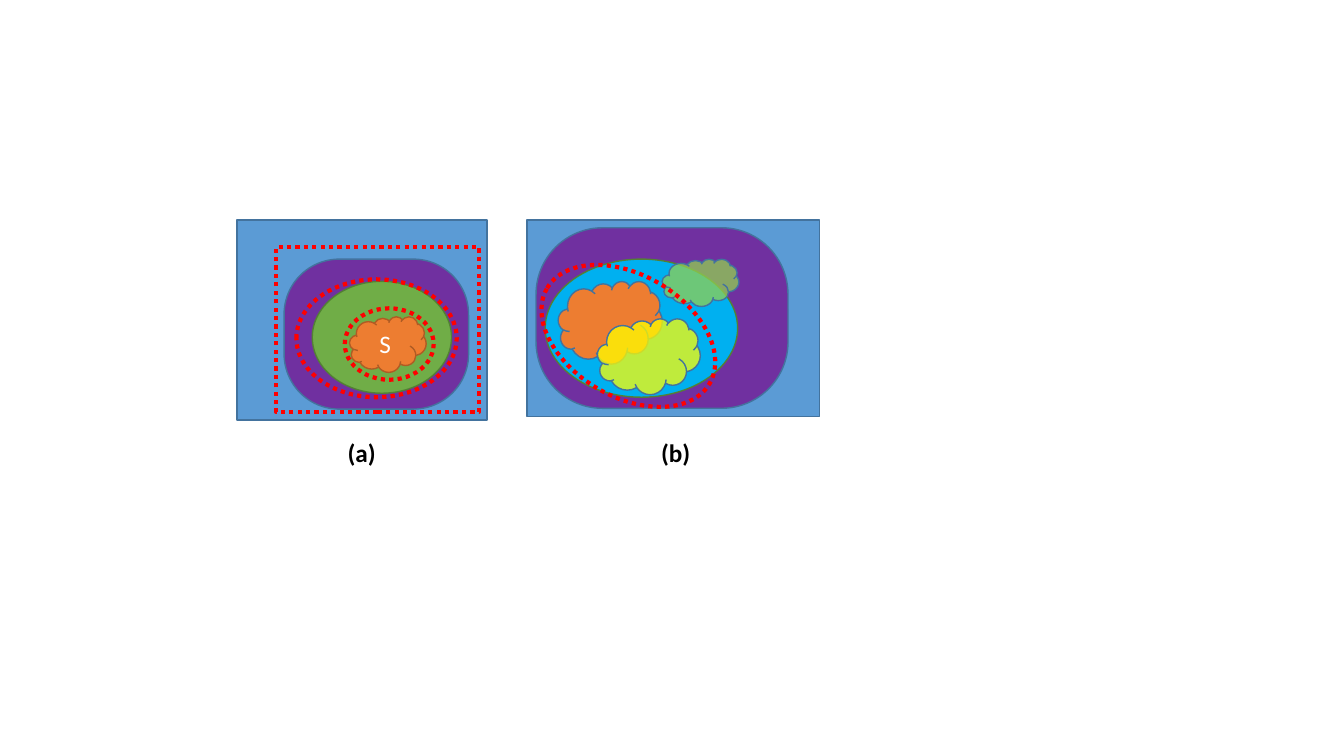
from lxml import etree
from pptx import Presentation
from pptx.dml.color import RGBColor
from pptx.enum.dml import MSO_LINE
from pptx.enum.shapes import MSO_SHAPE
from pptx.enum.text import MSO_ANCHOR, MSO_AUTO_SIZE, PP_ALIGN
from pptx.oxml.ns import qn
from pptx.util import Cm, Pt

RECT, ROUND = MSO_SHAPE.RECTANGLE, MSO_SHAPE.ROUNDED_RECTANGLE
ELLIPSE, CLOUD = MSO_SHAPE.OVAL, MSO_SHAPE.CLOUD
DOTTED = MSO_LINE.ROUND_DOT
CENTER, MIDDLE = PP_ALIGN.CENTER, MSO_ANCHOR.MIDDLE
FIT_SHAPE = MSO_AUTO_SIZE.SHAPE_TO_FIT_TEXT

BLUE = RGBColor(0x5B, 0x9B, 0xD5)
DARK_BLUE = RGBColor(0x43, 0x73, 0x9E)
PURPLE = RGBColor(0x70, 0x30, 0xA0)
GREEN = RGBColor(0x70, 0xAD, 0x47)
DARK_GREEN = RGBColor(0x53, 0x80, 0x35)
SKY = RGBColor(0x00, 0xB0, 0xF0)
ORANGE = RGBColor(0xED, 0x7D, 0x31)
DARK_ORANGE = RGBColor(0xAF, 0x5C, 0x24)
LIME = RGBColor(0x92, 0xD0, 0x50)
YELLOW = RGBColor(0xFF, 0xFF, 0x00)
RED = RGBColor(0xFF, 0x00, 0x00)
WHITE = RGBColor(0xFF, 0xFF, 0xFF)
BLACK = RGBColor(0x00, 0x00, 0x00)

FONT, TEXT_SIZE = "Calibri", Pt(18)
CORNER = 0.368
OPACITY = 75

# Regions: kind, (left, top, width, height) in cm, fill, line, opacity in percent, text
# Boundaries: kind, (left, top, width, height) in cm, rotation in degrees
NESTED_REGIONS = [
    (RECT, (5.97, 5.54, 6.3, 5.05), BLUE, DARK_BLUE, 100, ""),
    (ROUND, (7.16, 6.53, 4.65, 3.78), PURPLE, DARK_BLUE, 100, ""),
    (ELLIPSE, (7.87, 7.09, 3.51, 2.82), GREEN, DARK_GREEN, 100, ""),
    (CLOUD, (8.81, 7.98, 1.93, 1.4), ORANGE, DARK_ORANGE, 100, "S"),
]
NESTED_BOUNDARIES = [
    (RECT, (6.96, 6.22, 5.11, 4.17), 0),
    (ELLIPSE, (7.47, 7.04, 4.04, 2.97), 0),
    (ELLIPSE, (8.69, 7.77, 2.24, 1.8), 0),
]
OVERLAP_REGIONS = [
    (RECT, (13.28, 5.54, 7.37, 4.95), BLUE, DARK_BLUE, 100, ""),
    (ROUND, (13.51, 5.74, 6.35, 4.55), PURPLE, DARK_BLUE, 100, ""),
    (ELLIPSE, (13.74, 6.53, 4.85, 3.48), SKY, DARK_GREEN, 100, ""),
    (CLOUD, (14.07, 7.09, 2.62, 2.08), ORANGE, DARK_BLUE, 100, ""),
    (CLOUD, (16.69, 6.53, 1.93, 1.19), LIME, DARK_BLUE, OPACITY, ""),
    (CLOUD, (15.06, 8.03, 2.59, 1.91), YELLOW, DARK_BLUE, OPACITY, ""),
]
OVERLAP_BOUNDARIES = [(ELLIPSE, (13.46, 6.93, 4.75, 3.07), 30.5)]
PANELS = [
    (NESTED_REGIONS, NESTED_BOUNDARIES, "(a)", (8.51, 10.9, 1.22, 1.02)),
    (OVERLAP_REGIONS, OVERLAP_BOUNDARIES, "(b)", (16.41, 10.9, 1.24, 1.02)),
]


def add_outline(slide, kind, area, color, width):
    shape = slide.shapes.add_shape(kind, *map(Cm, area))
    shape.shadow.inherit = False
    shape.line.color.rgb = color
    shape.line.width = width
    return shape


def add_span(para, text, color, bold=False):
    span = para.add_run()
    span.text = text
    span.font.name = FONT
    span.font.size = TEXT_SIZE
    span.font.bold = bold
    span.font.color.rgb = color


def add_region(slide, kind, area, fill, line, opacity, text):
    region = add_outline(slide, kind, area, line, Pt(1))
    region.fill.solid()
    region.fill.fore_color.rgb = fill
    if kind == ROUND:
        region.adjustments[0] = CORNER
    if opacity < 100:
        color = region.fill._xPr.find(qn("a:solidFill"))[0]
        etree.SubElement(color, qn("a:alpha")).set("val", str(opacity * 1000))
    if text:
        region.text_frame.vertical_anchor = MIDDLE
        para = region.text_frame.paragraphs[0]
        para.alignment = CENTER
        add_span(para, text, WHITE)


def add_boundary(slide, kind, area, rotation):
    boundary = add_outline(slide, kind, area, RED, Pt(3))
    boundary.fill.background()
    boundary.line.dash_style = DOTTED
    boundary.rotation = rotation


def add_caption(slide, text, area):
    box = slide.shapes.add_textbox(*map(Cm, area))
    box.text_frame.word_wrap = False
    box.text_frame.auto_size = FIT_SHAPE
    add_span(box.text_frame.paragraphs[0], text, BLACK, bold=True)


def main():
    deck = Presentation()
    deck.slide_width, deck.slide_height = Cm(33.87), Cm(19.05)
    page = deck.slides.add_slide(deck.slide_layouts[6])
    for regions, boundaries, caption, caption_area in PANELS:
        for region in regions:
            add_region(page, *region)
        for boundary in boundaries:
            add_boundary(page, *boundary)
        add_caption(page, caption, caption_area)
    deck.save("out.pptx")


if __name__ == "__main__":
    main()
